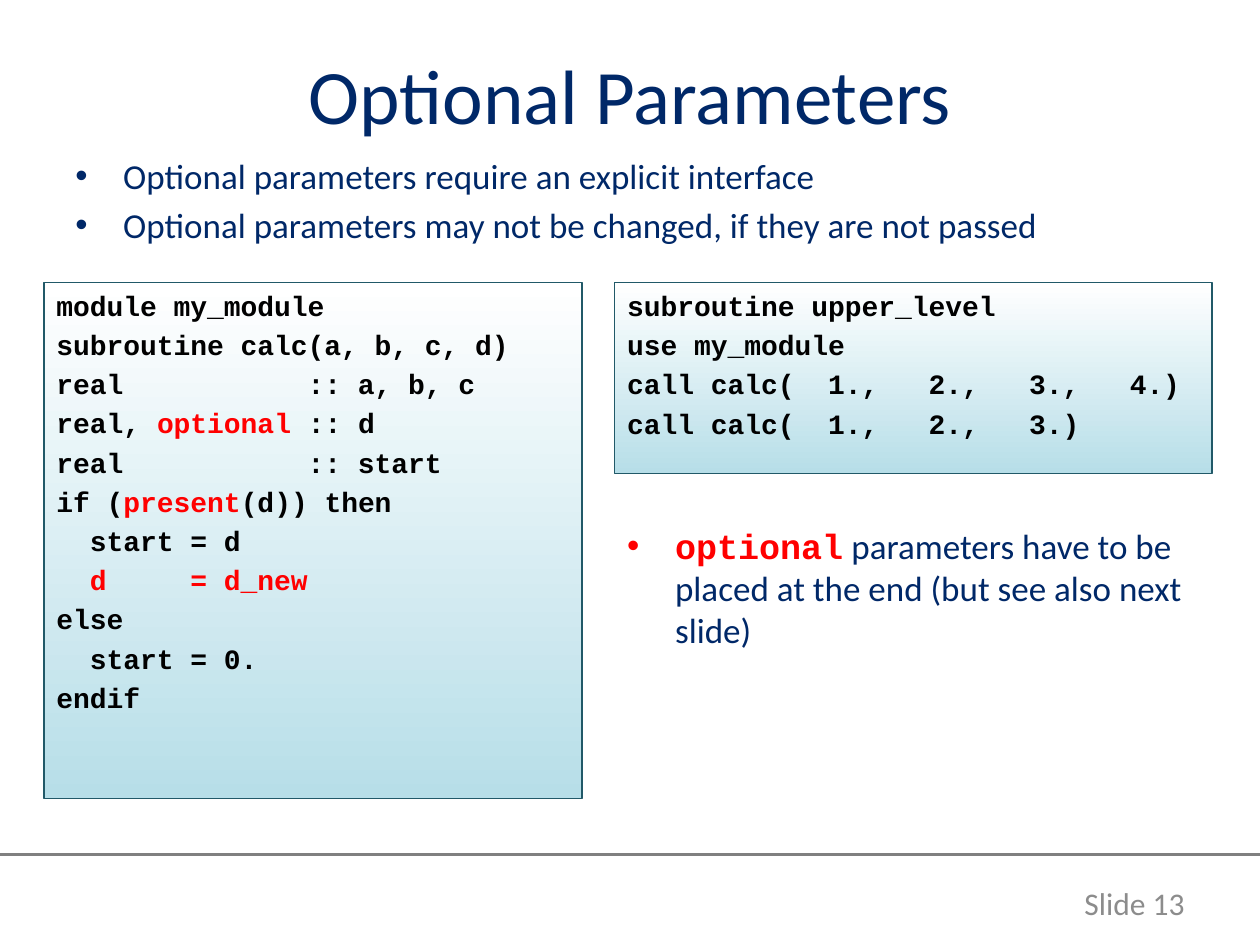
"""Build the slide on optional parameters in Fortran."""
from lxml.etree import SubElement
from pptx import Presentation
from pptx.dml.color import RGBColor
from pptx.enum.shapes import MSO_CONNECTOR, MSO_SHAPE
from pptx.enum.text import MSO_ANCHOR, PP_ALIGN
from pptx.oxml.ns import qn
from pptx.util import Inches, Pt

W, H = 10, 7.5
NAVY, RED, BLACK, GREY = "002868", "FF0000", "000000", "8C8C8C"
LEFT, RIGHT, TOP, BOTTOM = (0.35, 4.27), (4.88, 4.74), 2.24, 6.34

TITLE = "Optional Parameters"
RULES = ["Optional parameters require an explicit interface",
         "Optional parameters may not be changed, if they are not passed"]
NOTE = ["|optional| parameters have to be placed at the end (but see also next slide)"]
MODULE = ["module my_module",
          "subroutine calc(a, b, c, d)",
          "real           :: a, b, c",
          "real, |optional |:: d",
          "real           :: start",
          "if (|present|(d)) then",
          "  start = d",
          "  |d     = d_new|",
          "else",
          "  start = 0.",
          "endif"]
CALLER = ["subroutine upper_level",
          "use my_module",
          "call calc(  1.,   2.,   3.,   4.)",
          "call calc(  1.,   2.,   3.)"]


def rgb(value):
    return RGBColor.from_string(value)


def write(sp, lines, size=20, color=NAVY, code=False, bullet=False, before=0,
          align=PP_ALIGN.LEFT, anchor=MSO_ANCHOR.TOP):
    """Fill a shape with lines; text between bars is red bold code."""
    tf = sp.text_frame
    tf.word_wrap, tf.vertical_anchor = True, anchor
    for i, line in enumerate(lines):
        p = tf.add_paragraph() if i else tf.paragraphs[0]
        p.alignment = align
        pPr = p._p.get_or_add_pPr()
        if before:
            spc = SubElement(pPr, qn("a:spcBef"))
            SubElement(spc, qn("a:spcPct"), val=str(before * 1000))
        if bullet:
            pPr.set("marL", str(Inches(0.38)))
            pPr.set("indent", str(-Inches(0.38)))
            clr = SubElement(pPr, qn("a:buClr"))
            SubElement(clr, qn("a:srgbClr"), val=RED if line.startswith("|") else color)
            SubElement(pPr, qn("a:buFont"), typeface="Arial")
            SubElement(pPr, qn("a:buChar"), char="•")
        for j, part in enumerate(line.split("|")):
            if part:
                r = p.add_run()
                r.text = part
                marked = j % 2 == 1
                r.font.size = Pt(size)
                r.font.name = "Courier New" if code or marked else "Calibri"
                r.font.bold = code or marked
                r.font.color.rgb = rgb(RED if marked else color)


def add_text(s, x, y, w, h, lines, **fmt):
    sp = s.shapes.add_textbox(*map(Inches, (x, y, w, h)))
    write(sp, lines, **fmt)


def add_code(s, column, height, lines):
    x, w = column
    sp = s.shapes.add_shape(MSO_SHAPE.RECTANGLE, *map(Inches, (x, TOP, w, height)))
    sp.shadow.inherit = False
    sp.fill.gradient()
    sp.fill.gradient_angle = 90
    for stop, color in zip(sp.fill.gradient_stops, ("B7DEE8", "FFFFFF")):
        stop.color.rgb = rgb(color)
    sp.line.color.rgb = rgb("215968")
    sp.line.width = Pt(0.75)
    write(sp, lines, size=16, color=BLACK, code=True, before=20)


prs = Presentation()
prs.slide_width, prs.slide_height = Inches(W), Inches(H)
s = prs.slides.add_slide(prs.slide_layouts[5])

rule = s.shapes.add_connector(MSO_CONNECTOR.STRAIGHT, 0, Inches(6.78), Inches(W), Inches(6.78))
rule.line.color.rgb = rgb("808080")
rule.line.width = Pt(2)
SubElement(rule._element.spPr, qn("a:effectLst"))

title = s.shapes.title
title.left, title.top, title.width, title.height = map(Inches, (0.5, 0.3, 9, 0.88))
write(title, [TITLE], size=44, align=PP_ALIGN.CENTER, anchor=MSO_ANCHOR.MIDDLE)

add_text(s, 0.5, 1.18, 9, 0.74, RULES, bullet=True, before=20)
add_code(s, LEFT, BOTTOM - TOP, MODULE)
add_code(s, RIGHT, 1.52, CALLER)
add_text(s, RIGHT[0], 4.11, RIGHT[1], BOTTOM - 4.11, NOTE, bullet=True, before=20)
add_text(s, 8.41, 6.97, 1.09, 0.4, ["Slide 13"], size=18, color=GREY,
         align=PP_ALIGN.RIGHT, anchor=MSO_ANCHOR.MIDDLE)

prs.save("out.pptx")
